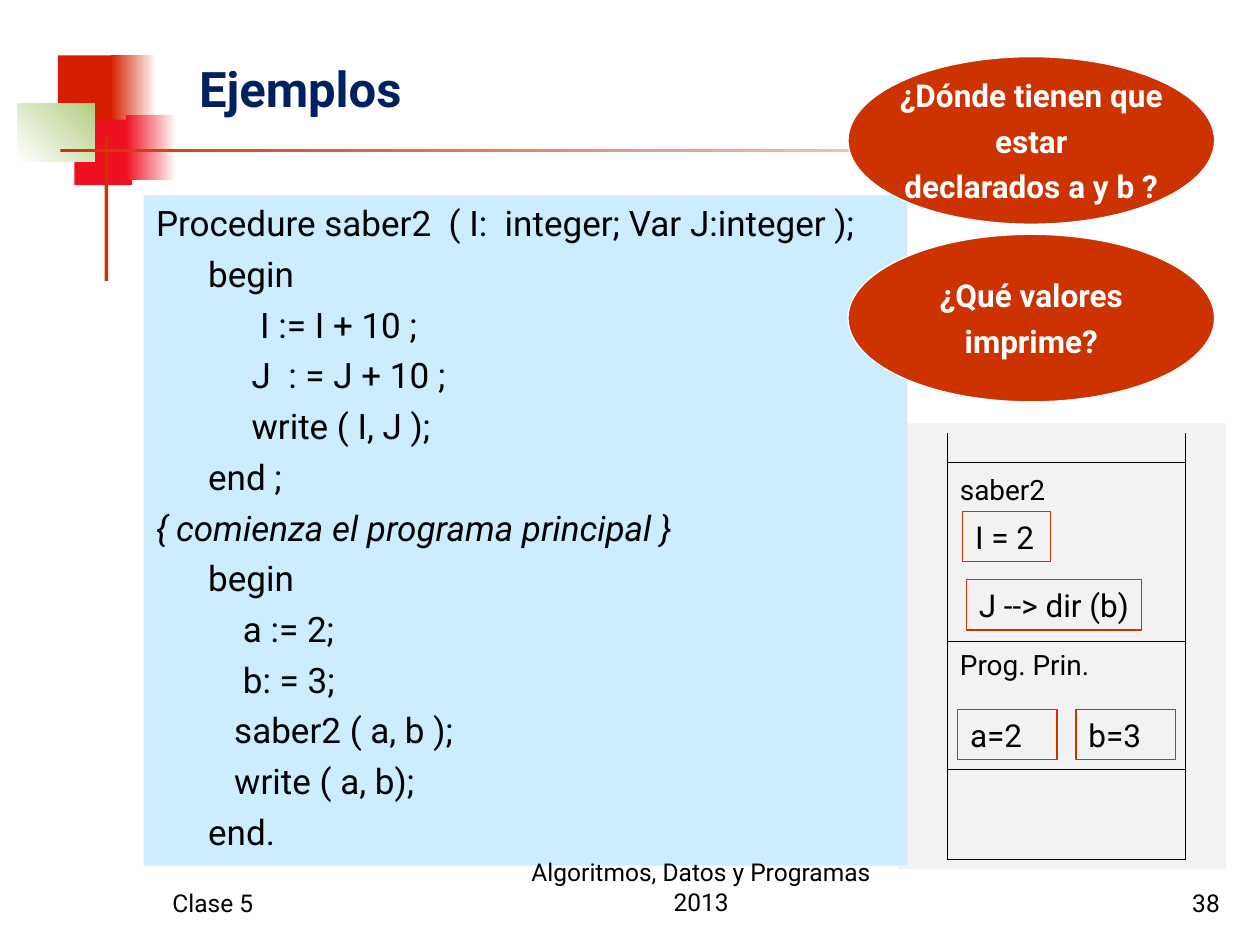
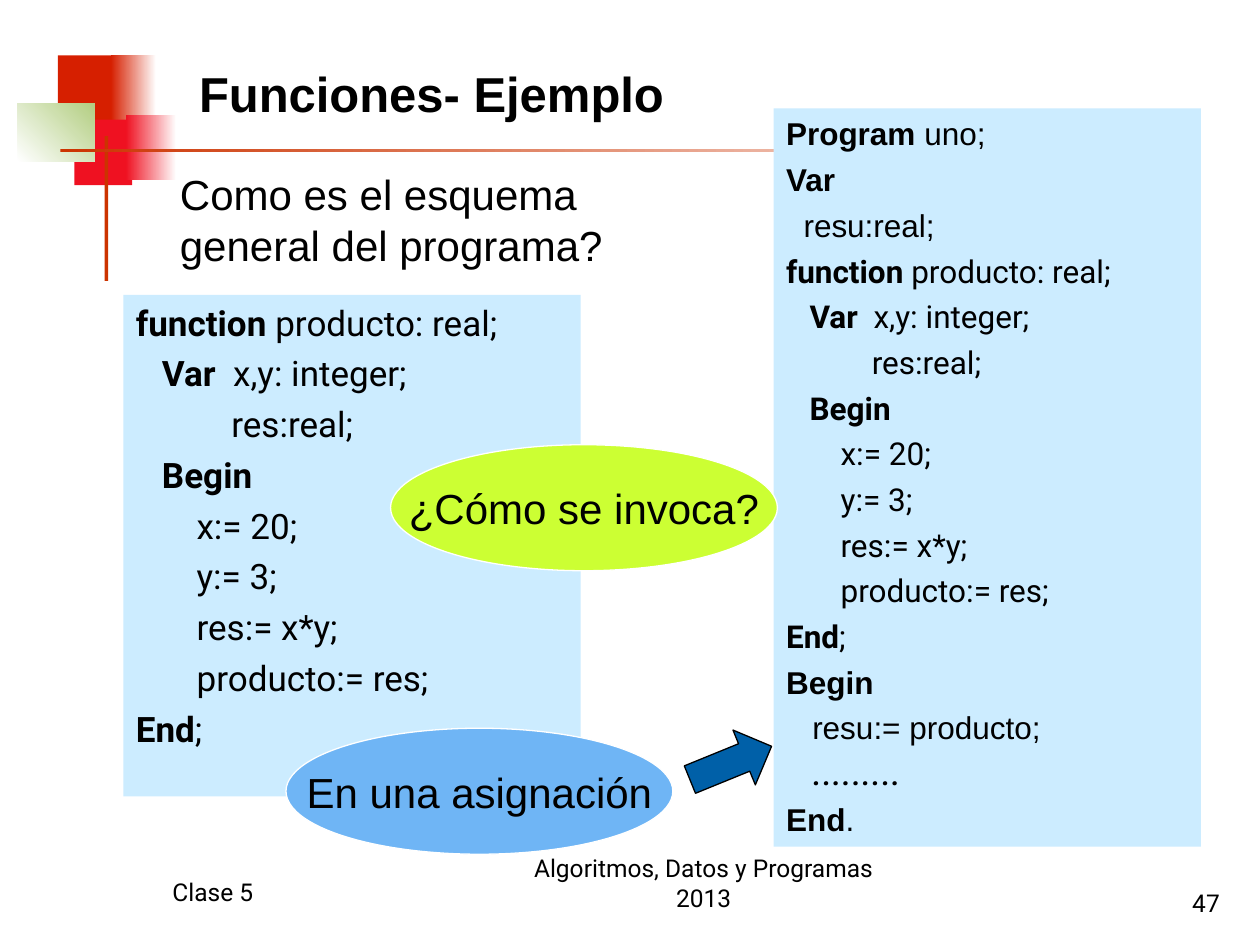
import pptx
import pptx.util
import pptx.dml.color
import pptx.enum.shapes
import pptx.enum.text
import pptx.oxml.ns
import lxml.etree

SHAPE = pptx.enum.shapes.MSO_SHAPE
ALIGN = pptx.enum.text.PP_ALIGN
ANCHOR = pptx.enum.text.MSO_ANCHOR

THEME = {
    "colors": {
        "ink": "000000", "paper": "FFFFFF", "navy": "002060", "rust": "CC3300",
        "red": "D61F00", "crimson": "EF1121", "olive": "B3CE82", "code": "CCECFF",
        "panel": "F2F2F2", "lime": "CCFF33", "sky": "6FB5F5", "arrow": "0060A8",
    },
    "sizes": {"title": 28, "big": 24, "code": 20, "text": 18, "label": 16, "footer": 14},
    "hairline": 0.75,
    "space": 0.25,
}
STYLES = {
    "plain": {"name": "Roboto"},
    "bold": {"name": "Roboto", "bold": True},
    "italic": {"name": "Roboto", "italic": True},
    "arial": {"name": "Arial"},
    "arial bold": {"name": "Arial", "bold": True},
    "dots": {"name": "Vollkorn"},
}

BAND = [
    ((0.46, 0.44, 0.48, 0.52), "red"),
    ((0.88, 0.44, 0.36, 0.52), ("red", "paper", 0)),
    ((0.59, 0.95, 0.46, 0.52), "crimson"),
    ((1, 0.91, 0.4, 0.52), ("crimson", "paper", 0)),
    ((0.14, 0.82, 0.61, 0.46), ("paper", "olive", 45)),
    ((0.83, 1.08, 0.03, 1.15), "rust"),
    ((0.48, 1.18, 9, 0.03), ("rust", "paper", 0)),
]

SABER2 = [
    "Procedure saber2  ( I:  integer; Var J:integer );",
    "      begin",
    "            I := I + 10 ;",
    "           J  : = J + 10 ;",
    "           write ( I, J );",
    "      end ;",
    [("italic", "{ comienza el programa principal }")],
    "      begin",
    "          a := 2;",
    "          b: = 3;",
    "         saber2 ( a, b );",
    "         write ( a, b);",
    "      end.",
]
PRODUCTO = [
    [("bold", "function"), ("plain", " producto: real;")],
    [("bold", "   Var  "), ("plain", "x,y: integer;")],
    "           res:real;",
    [("bold", "   Begin")],
    "       x:= 20;",
    "       y:= 3;",
    "       res:= x*y;",
    "       producto:= res;",
    [("bold", "End"), ("plain", ";")],
]
PROGRAM_UNO = [
    [("arial bold", "Program"), ("arial", " uno;")],
    [("arial bold", "Var")],
    [("arial", "  resu:real;")],
    *PRODUCTO,
    [("arial bold", "Begin")],
    [("arial", "   resu:= producto;")],
    [("arial", "   "), ("dots", "………")],
    [("arial bold", "End"), ("arial", ".")],
]
QUESTIONS = [
    ["¿Dónde tienen que", "estar", "declarados a y b ?"],
    ["¿Qué valores", "imprime?"],
]
STACK = {"left": 7.52, "right": 9.41, "top": 3.44, "rows": [3.67, 5.09, 6.11, 6.82]}
STACK_LABELS = [("saber2", (7.52, 3.7, 0.95, 0.37)), ("Prog. Prin.", (7.52, 5.09, 1.58, 0.37))]
VARIABLES = [
    ("I = 2", (7.64, 4.06, 0.7, 0.4)),
    ("J --> dir (b)", (7.67, 4.6, 1.39, 0.4)),
    ("a=2", (7.6, 5.63, 0.79, 0.4)),
    ("b=3", (8.54, 5.63, 0.79, 0.4)),
]
BALLOONS = [
    ("¿Cómo se invoca?", (3.1, 3.53, 3.07, 1), "lime"),
    ("En una asignación", (2.27, 5.78, 3.07, 1), "sky"),
]


def color(name):
    return pptx.dml.color.RGBColor.from_string(THEME["colors"][name])


def inches(box):
    return [pptx.util.Inches(v) for v in box]


def set_all(target, values):
    for name, value in values.items():
        setattr(target, name, value)


def write(sp, lines, size, style="plain", ink="ink", align=ALIGN.LEFT,
          anchor=ANCHOR.TOP, wrap=True, spaced=False):
    tf = sp.text_frame
    set_all(tf, {"word_wrap": wrap, "vertical_anchor": anchor,
                 "auto_size": pptx.enum.text.MSO_AUTO_SIZE.NONE})
    points = THEME["sizes"][size]
    for i, line in enumerate(lines):
        p = tf.paragraphs[0] if i == 0 else tf.add_paragraph()
        p.alignment = align
        p.space_before = pptx.util.Pt(points * THEME["space"] if spaced and i else 0)
        for run_style, text in [(style, line)] if isinstance(line, str) else line:
            r = p.add_run()
            r.text = text
            set_all(r.font, {"size": pptx.util.Pt(points), "bold": False, **STYLES[run_style]})
            r.font.color.rgb = color(ink)


def add_shape(s, box, fill=None, line=None, kind=SHAPE.RECTANGLE):
    sp = s.shapes.add_shape(kind, *inches(box))
    sp.shadow.inherit = False
    if fill is None:
        sp.fill.background()
    elif isinstance(fill, str):
        sp.fill.solid()
        sp.fill.fore_color.rgb = color(fill)
    else:
        start, end, angle = fill
        sp.fill.gradient()
        sp.fill.gradient_angle = angle
        for stop, name in zip(sp.fill.gradient_stops, (start, end)):
            stop.color.rgb = color(name)
    if line:
        sp.line.color.rgb = color(line)
        sp.line.width = pptx.util.Pt(THEME["hairline"])
    else:
        sp.line.fill.background()
    return sp


def add_text(s, box, lines, size, **options):
    write(s.shapes.add_textbox(*inches(box)), lines, size, **options)


def add_code(s, box, lines, size):
    write(add_shape(s, box, "code"), lines, size, spaced=True)


def add_ellipse(s, box, fill, lines, size, **options):
    sp = add_shape(s, box, fill, "paper", SHAPE.OVAL)
    write(sp, lines, size, align=ALIGN.CENTER, anchor=ANCHOR.MIDDLE, wrap=False, **options)


def add_line(s, x1, y1, x2, y2):
    cn = s.shapes.add_connector(pptx.enum.shapes.MSO_CONNECTOR.STRAIGHT, *inches((x1, y1, x2, y2)))
    cn.line.color.rgb = color("ink")
    cn.line.width = pptx.util.Pt(THEME["hairline"])
    lxml.etree.SubElement(cn._element.spPr, pptx.oxml.ns.qn("a:effectLst"))


def add_slide(prs, title, box, **options):
    s = prs.slides.add_slide(prs.slide_layouts[5])
    sp = s.shapes.title
    set_all(sp, dict(zip(("left", "top", "width", "height"), inches(box))))
    write(sp, [title], "title", **options)
    for band_box, fill in BAND:
        add_shape(s, band_box, fill)
    return s


def add_footer(s, number, class_top, course_left, course_top):
    parts = [
        ("Clase 5", (1.27, class_top, 2.08, 0.5), ALIGN.LEFT),
        ("Algoritmos, Datos y Programas 2013", (course_left, course_top, 3.17, 0.5), ALIGN.CENTER),
        (number, (7.7, 6.83, 2.08, 0.5), ALIGN.RIGHT),
    ]
    for text, box, align in parts:
        add_text(s, box, [text], "footer", align=align, anchor=ANCHOR.BOTTOM)


def add_stack(s):
    left, right, top, rows = STACK.values()
    for y in rows:
        add_line(s, left, y, right, y)
    for x in (left, right):
        add_line(s, x, top, x, rows[-1])
    for text, box in STACK_LABELS:
        add_text(s, box, [text], "label")
    for text, box in VARIABLES:
        write(add_shape(s, box, line="rust"), [text], "text", wrap=False)


def build_examples(prs):
    s = add_slide(prs, "Ejemplos", (1.48, 0.25, 7.66, 0.9),
                  style="bold", ink="navy", anchor=ANCHOR.MIDDLE)
    add_shape(s, (7.13, 3.36, 2.6, 3.54), "panel")
    add_code(s, (1.14, 1.55, 6.06, 5.32), SABER2, "code")
    for i, lines in enumerate(QUESTIONS):
        add_ellipse(s, (6.73, 0.45 + i * 1.41, 2.91, 1.33), "rust", lines, "text",
                    style="bold", ink="paper", spaced=True)
    add_footer(s, "38", 6.83, 3.98, 6.82)
    add_stack(s)


def build_functions(prs):
    s = add_slide(prs, "Funciones- Ejemplo", (1.48, 0.31, 6.43, 0.71),
                  style="arial bold", anchor=ANCHOR.BOTTOM)
    add_code(s, (6.14, 0.86, 3.39, 5.86), PROGRAM_UNO, "text")
    add_text(s, (1.33, 1.29, 4.04, 0.9), ["Como es el esquema general del programa?"],
             "big", style="arial")
    add_code(s, (0.98, 2.34, 3.63, 3.98), PRODUCTO, "code")
    for text, box, fill in BALLOONS:
        add_ellipse(s, box, fill, [text], "big", style="arial")
    arrow = add_shape(s, (5.45, 5.82, 0.7, 0.47), "arrow", "ink", SHAPE.RIGHT_ARROW)
    arrow.rotation = 337.8
    add_footer(s, "47", 6.74, 4, 6.79)


def main():
    prs = pptx.Presentation()
    prs.slide_width, prs.slide_height = inches((10, 7.5))
    build_examples(prs)
    build_functions(prs)
    prs.save("out.pptx")


if __name__ == "__main__":
    main()
